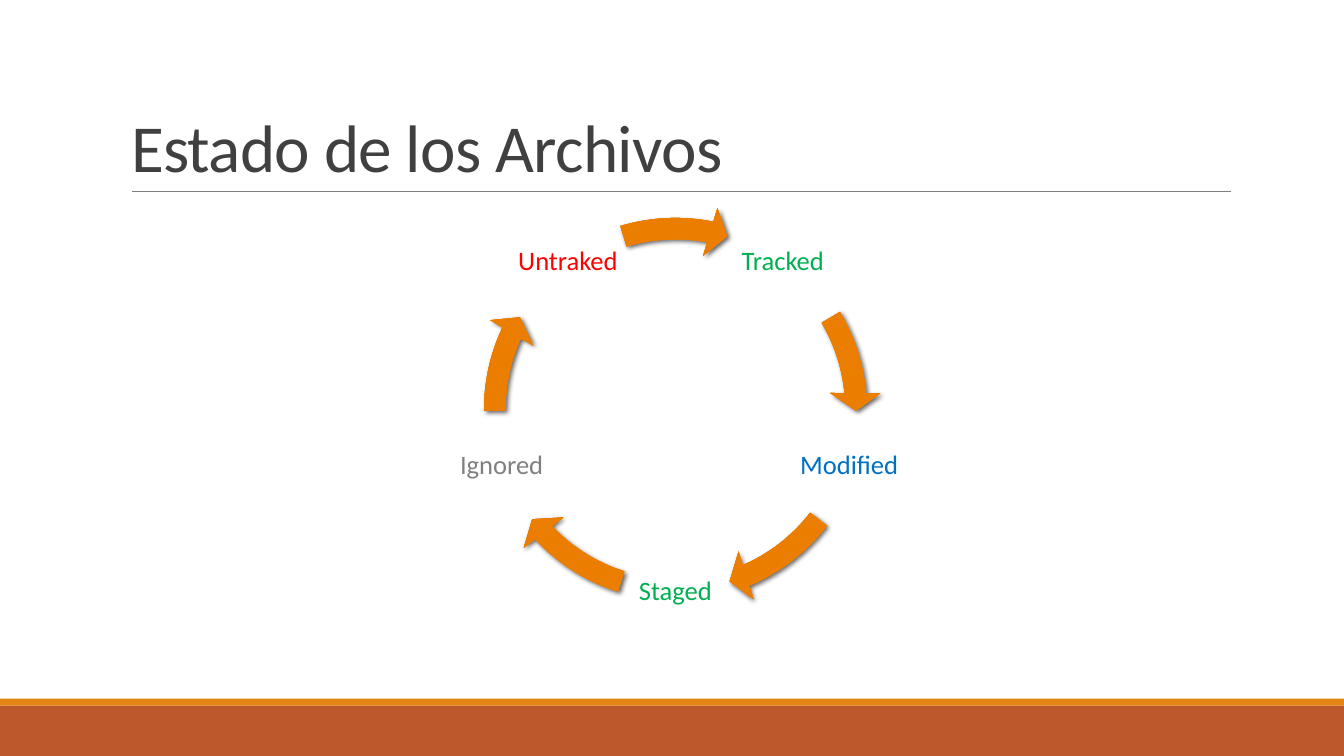
from math import cos, radians, sin

from lxml import etree
from pptx import Presentation
from pptx.dml.color import RGBColor
from pptx.enum.shapes import MSO_CONNECTOR, MSO_SHAPE
from pptx.enum.text import MSO_ANCHOR, MSO_AUTO_SIZE, PP_ALIGN
from pptx.oxml import parse_xml
from pptx.oxml.ns import nsdecls, qn
from pptx.util import Pt

RECTANGLE = MSO_SHAPE.RECTANGLE
CIRCULAR_ARROW = MSO_SHAPE.CIRCULAR_ARROW
STRAIGHT = MSO_CONNECTOR.STRAIGHT
MIDDLE, BOTTOM = MSO_ANCHOR.MIDDLE, MSO_ANCHOR.BOTTOM
CENTER, LEFT = PP_ALIGN.CENTER, PP_ALIGN.LEFT
NO_AUTOFIT = MSO_AUTO_SIZE.NONE
TITLE_ONLY = 5

FONT = "Calibri"
COLORS = {
    "footer": "BD582C", "stripe": "E48312", "rule": "808080", "title": "404040",
    "green": "00B050", "blue": "0070C0", "gray": "808080", "red": "FF0000",
    "shadow": "000000",
}
GRADIENT = [(0, "E57B00"), (34, "E87D00"), (70, "EB7E00"), (100, "EF8407")]
STATES = [
    ("Tracked", "green", 329.42, 354.91),
    ("Modified", "blue", 37.53, 66.94),
    ("Staged", "green", 107.47, 136.87),
    ("Ignored", "gray", 179.5, 204.99),
    ("Untraked", "red", 253.29, 281.12),
]
FIRST_LABEL_ANGLE = -54
LABEL_RADIUS = 130.5
LABEL_SIZE = 78.5


def color(name):
    """Return the named palette colour."""
    return RGBColor.from_string(COLORS[name])


def apply(target, values):
    """Set each attribute in values on the target."""
    for name, value in values.items():
        setattr(target, name, value)


def write_text(shape, text, frame_format, paragraph_format, size, color_name):
    """Write one formatted paragraph in a shape and return its run."""
    frame = shape.text_frame
    frame.text = text
    apply(frame, {"word_wrap": True, "auto_size": NO_AUTOFIT, **frame_format})
    paragraph = frame.paragraphs[0]
    apply(paragraph, paragraph_format)
    run = paragraph.runs[0]
    apply(run.font, {"name": FONT, "size": Pt(size)})
    run.font.color.rgb = color(color_name)
    return run


def add_band(slide, box, color_name):
    """Add a plain filled band."""
    band = slide.shapes.add_shape(RECTANGLE, *map(Pt, box))
    band.shadow.inherit = False
    band.fill.solid()
    band.fill.fore_color.rgb = color(color_name)
    band.line.fill.background()


def add_footer(slide, box):
    """Add the footer with a thin stripe along its top."""
    left, top, width, height = box
    stripe = 5
    add_band(slide, (left, top + stripe, width, height - stripe), "footer")
    add_band(slide, (left, top, width, stripe), "stripe")


def add_heading(slide, box, text):
    """Place the title in the box with a rule under it."""
    left, top, width, height = box
    title = slide.shapes.title
    apply(title, dict(zip(("left", "top", "width", "height"), map(Pt, box))))
    run = write_text(title, text, {"vertical_anchor": BOTTOM},
                     {"alignment": LEFT, "line_spacing": 0.85}, 48, "title")
    run.font._element.set("spc", "-50")
    bottom = Pt(top + height)
    rule = slide.shapes.add_connector(
        STRAIGHT, Pt(left + 8), bottom, Pt(left + 793), bottom)
    rule.line.width = Pt(0.5)
    rule.line.color.rgb = color("rule")
    etree.SubElement(rule._element.spPr, qn("a:effectLst"))


def add_label(group, center_x, center_y, text, color_name):
    """Add a state label centred on a point."""
    box = (center_x - LABEL_SIZE / 2, center_y - LABEL_SIZE / 2, LABEL_SIZE, LABEL_SIZE)
    label = group.shapes.add_textbox(*map(Pt, box))
    margins = {f"margin_{side}": Pt(2) for side in ("left", "top", "right", "bottom")}
    write_text(label, text, {"vertical_anchor": MIDDLE, **margins},
               {"alignment": CENTER, "line_spacing": 0.9}, 19, color_name)


def add_arrow(group, box, start, end):
    """Add a shaded circular arrow between two angles in degrees."""
    arrow = group.shapes.add_shape(CIRCULAR_ARROW, *map(Pt, box))
    for index, value in enumerate((0.052, 3.356, end * 0.6, start * 0.6, 0.061)):
        arrow.adjustments[index] = value
    arrow.line.fill.background()
    arrow.shadow.inherit = False
    properties = arrow._element.spPr
    stops = "".join(
        f'<a:gs pos="{position * 1000}"><a:srgbClr val="{value}"/></a:gs>'
        for position, value in GRADIENT)
    properties.find(qn("a:prstGeom")).addnext(parse_xml(
        f'<a:gradFill {nsdecls("a")} rotWithShape="1"><a:gsLst>{stops}</a:gsLst>'
        '<a:path path="circle"><a:fillToRect l="100000" t="100000" r="100000" '
        'b="100000"/></a:path></a:gradFill>'))
    properties.find(qn("a:effectLst")).append(parse_xml(
        f'<a:outerShdw {nsdecls("a")} blurRad="{Pt(3.5)}" dist="{Pt(2)}" dir="2700000" '
        f'algn="br" rotWithShape="0"><a:srgbClr val="{COLORS["shadow"]}">'
        '<a:alpha val="60000"/></a:srgbClr></a:outerShdw>'))


def add_cycle(slide, box):
    """Place the state labels evenly round a circle, joined by arrows."""
    left, top, width, height = box
    group = slide.shapes.add_group_shape()
    for index, (text, color_name, start, end) in enumerate(STATES):
        angle = radians(FIRST_LABEL_ANGLE + index * 360 / len(STATES))
        add_label(group, left + width / 2 + LABEL_RADIUS * cos(angle),
                  top + height / 2 + LABEL_RADIUS * sin(angle), text, color_name)
        add_arrow(group, box, start, end)


def main():
    """Build and save the presentation."""
    presentation = Presentation()
    apply(presentation, {"slide_width": Pt(960), "slide_height": Pt(540)})
    slide = presentation.slides.add_slide(presentation.slide_layouts[TITLE_ONLY])
    add_footer(slide, (0, 499, 960, 41))
    add_heading(slide, (86.4, 22.5, 712, 114.3), "Estado de los Archivos")
    add_cycle(slide, (335.5, 145.4, 293.8, 293.8))
    presentation.save("out.pptx")


if __name__ == "__main__":
    main()
